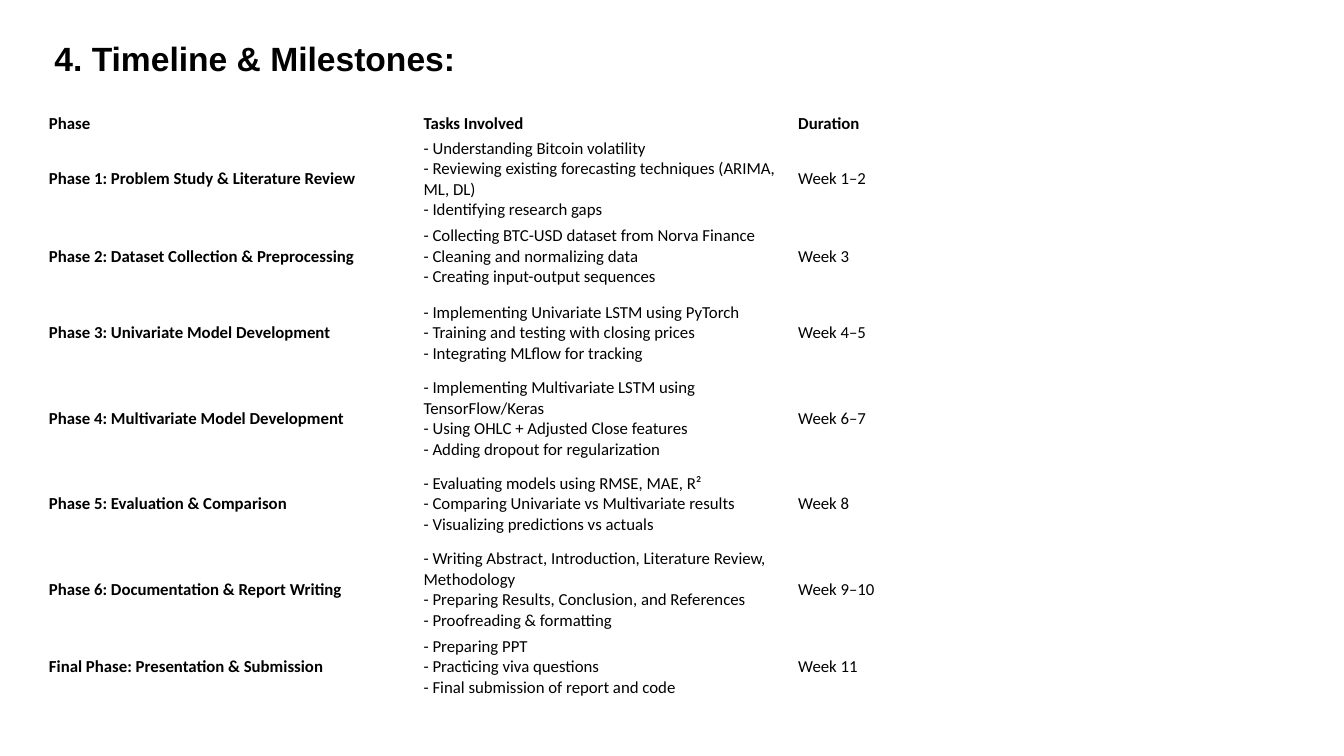
import pptx
import pptx.dml.color
import pptx.enum.text
import pptx.util

Pt = pptx.util.Pt
MIDDLE = pptx.enum.text.MSO_ANCHOR.MIDDLE

TITLE = "4. Timeline & Milestones:"
HEADERS = ("Phase", "Tasks Involved", "Duration")
HEADER_HEIGHT, SHORT, TALL = 17.5, 49, 60.5
# Phase, tasks, duration, row height
PHASES = [
    ("Phase 1: Problem Study & Literature Review",
     ["- Understanding Bitcoin volatility",
      "- Reviewing existing forecasting techniques (ARIMA, ML, DL)",
      "- Identifying research gaps"], "Week 1–2", TALL),
    ("Phase 2: Dataset Collection & Preprocessing",
     ["- Collecting BTC-USD dataset from Norva Finance",
      "- Cleaning and normalizing data",
      "- Creating input-output sequences"], "Week 3", SHORT),
    ("Phase 3: Univariate Model Development",
     ["- Implementing Univariate LSTM using PyTorch",
      "- Training and testing with closing prices",
      "- Integrating MLflow for tracking"], "Week 4–5", TALL),
    ("Phase 4: Multivariate Model Development",
     ["- Implementing Multivariate LSTM using TensorFlow/Keras",
      "- Using OHLC + Adjusted Close features",
      "- Adding dropout for regularization"], "Week 6–7", TALL),
    ("Phase 5: Evaluation & Comparison",
     ["- Evaluating models using RMSE, MAE, R²",
      "- Comparing Univariate vs Multivariate results",
      "- Visualizing predictions vs actuals"], "Week 8", TALL),
    ("Phase 6: Documentation & Report Writing",
     ["- Writing Abstract, Introduction, Literature Review, Methodology",
      "- Preparing Results, Conclusion, and References",
      "- Proofreading & formatting"], "Week 9–10", TALL),
    ("Final Phase: Presentation & Submission",
     ["- Preparing PPT",
      "- Practicing viva questions",
      "- Final submission of report and code"], "Week 11", SHORT),
]
LEFT, TABLE_TOP, COLUMN_WIDTH = 31.7, 79.2, 267.6


def color(value):
    return pptx.dml.color.RGBColor.from_string(value)


def add_run(paragraph, text, font, size, bold):
    run = paragraph.add_run()
    run.text = text
    run.font.name = font
    run.font.size = Pt(size)
    run.font.bold = bold
    run.font.color.rgb = color("000000")


def fill_cell(cell, lines, bold):
    cell.fill.background()
    cell.vertical_anchor = MIDDLE
    cell.margin_left = cell.margin_right = Pt(3.3)
    cell.margin_top = cell.margin_bottom = Pt(1.6)
    paragraph = cell.text_frame.paragraphs[0]
    for index, line in enumerate(lines):
        if index:
            paragraph.add_line_break()
        add_run(paragraph, line, "Calibri", 12, bold)


def add_title(slide):
    title = slide.shapes.title
    title.left, title.top, title.width, title.height = Pt(LEFT), Pt(22.3), Pt(896), Pt(58.3)
    frame = title.text_frame
    frame.vertical_anchor = pptx.enum.text.MSO_ANCHOR.TOP
    frame.margin_top = Pt(5)
    frame.auto_size = pptx.enum.text.MSO_AUTO_SIZE.NONE
    paragraph = frame.paragraphs[0]
    paragraph.alignment = pptx.enum.text.PP_ALIGN.LEFT
    add_run(paragraph, TITLE, "Arial", 24, True)


def add_timeline(slide):
    heights = [HEADER_HEIGHT] + [phase[3] for phase in PHASES]
    table = slide.shapes.add_table(
        len(heights), len(HEADERS), Pt(LEFT), Pt(TABLE_TOP),
        Pt(COLUMN_WIDTH * len(HEADERS)), Pt(sum(heights))).table
    table.first_row = table.horz_banding = False
    for column in table.columns:
        column.width = Pt(COLUMN_WIDTH)
    for row, height in zip(table.rows, heights):
        row.height = Pt(height)
    for column, header in enumerate(HEADERS):
        fill_cell(table.cell(0, column), [header], True)
    for row, (phase, tasks, duration, _) in enumerate(PHASES, 1):
        fill_cell(table.cell(row, 0), [phase], True)
        fill_cell(table.cell(row, 1), tasks, False)
        fill_cell(table.cell(row, 2), [duration], False)


def main():
    presentation = pptx.Presentation()
    presentation.slide_width, presentation.slide_height = Pt(960), Pt(540)
    slide = presentation.slides.add_slide(presentation.slide_layouts.get_by_name("Title Only"))
    add_title(slide)
    add_timeline(slide)
    presentation.save("out.pptx")


if __name__ == "__main__":
    main()
